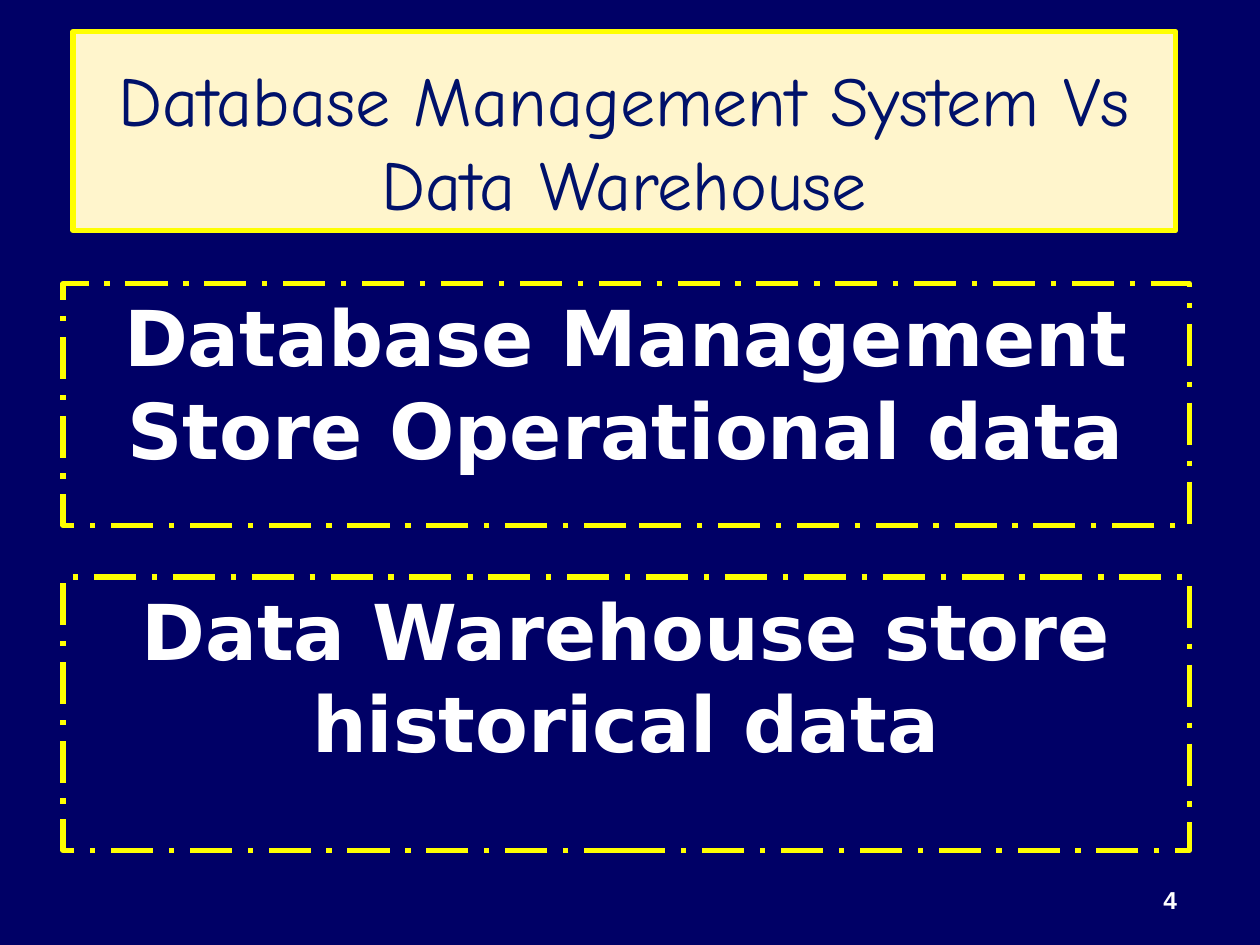
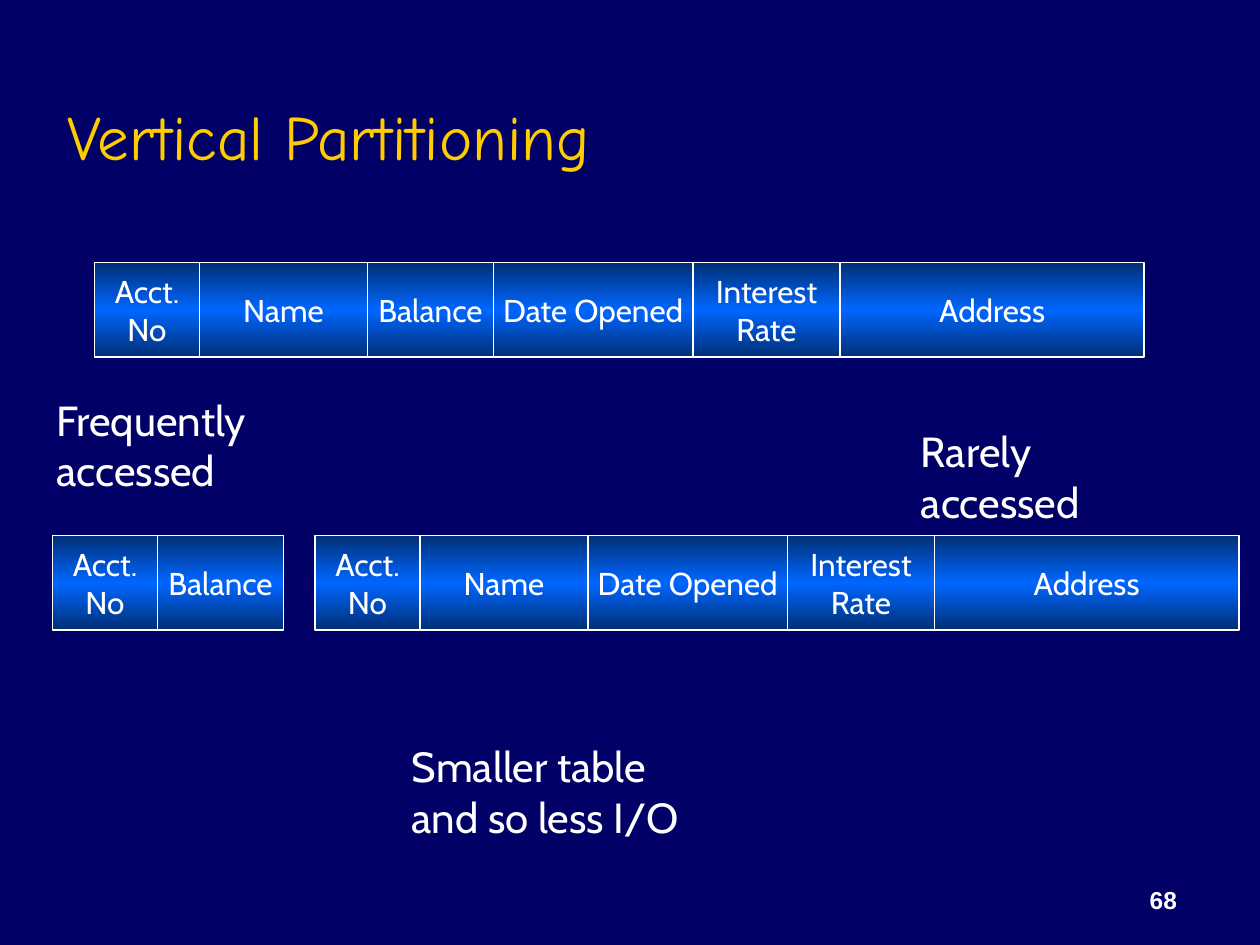
"""Build two slides on data warehouses: DBMS comparison and vertical partitioning."""
from copy import deepcopy
from pptx import Presentation
from pptx.dml.color import RGBColor
from pptx.enum.dml import MSO_LINE as Dash
from pptx.enum.shapes import MSO_SHAPE as Kind
from pptx.enum.text import MSO_ANCHOR as Anchor, MSO_AUTO_SIZE as Fit, PP_ALIGN as Align
from pptx.oxml.ns import qn
from pptx.util import Inches, Pt

NAVY = RGBColor(0x00, 0x00, 0x66)
INK = RGBColor(0x00, 0x11, 0x6A)
CREAM = RGBColor(0xFF, 0xF5, 0xCC)
YELLOW = RGBColor(0xFF, 0xFF, 0x00)
GOLD = RGBColor(0xFF, 0xCC, 0x00)
WHITE = RGBColor(0xFF, 0xFF, 0xFF)
DEEP = RGBColor(0x00, 0x2F, 0x76)
BLUE = RGBColor(0x00, 0x66, 0xFF)

HEAD, BODY, BOLD, FOOT = "Comic Neue", "Cabin", "DejaVu Sans", "Arial"

VERSUS = ("Database Management System Vs Data Warehouse", (0.58, 0.25, 8.75, 1.58))
CLAIMS = [
    ("Database Management Store Operational data", 2.25, 1.92),
    ("Data Warehouse store historical data", 4.58, 2.17),
]
SPLIT = ("Vertical Partitioning", (0.44, 0.25, 8.5, 1.17))
NOTES = [
    (["Frequently", "accessed"], (0.35, 3.08, 1.88, 0.9), False),
    (["Rarely", "accessed"], (7.21, 3.33, 1.61, 0.9), False),
    (["Smaller table", "and so less I/O"], (3.17, 5.83, 2.58, 0.9), True),
]
UNIT = 1 / 12
SPANS = {"Acct.\nNo": 10, "Name": 16, "Balance": 12, "Date Opened": 19,
         "Interest\nRate": 14, "Address": 29}
RECORDS = [
    (9, 25, list(SPANS)),
    (5, 51, ["Acct.\nNo", "Balance"]),
    (30, 51, [name for name in SPANS if name != "Balance"]),
]
TALL = 9


def write(shape, paras, face, size, color, align=Align.LEFT, anchor=Anchor.TOP,
          bold=False, wrap=True):
    frame = shape.text_frame
    frame.word_wrap = wrap
    frame.vertical_anchor = anchor
    for i, text in enumerate(paras):
        para = frame.add_paragraph() if i else frame.paragraphs[0]
        para.alignment = align
        for j, line in enumerate(text.split("\n")):
            if j:
                para.add_line_break()
            run = para.add_run()
            run.text = line
            font = run.font
            font.name, font.size, font.bold = face, Pt(size), bold
            font.color.rgb = color


def place(shapes, at):
    return shapes.add_textbox(*map(Inches, at))


def frame_box(shapes, at, edge, width, fill=None, dash=None):
    box = shapes.add_shape(Kind.RECTANGLE, *map(Inches, at))
    box.shadow.inherit = False
    box.line.color.rgb = edge
    box.line.width = Pt(width)
    if dash:
        box.line.dash_style = dash
    if fill is None:
        box.fill.background()
    else:
        box.fill.solid()
        box.fill.fore_color.rgb = fill
    return box


def shade(box):
    box.fill.gradient()
    box.fill.gradient_angle = 90
    stops = box.element.spPr.find(qn("a:gradFill")).find(qn("a:gsLst"))
    stops.append(deepcopy(stops[0]))
    for stop, pos, color in zip(box.fill.gradient_stops, (0, 0.5, 1), (DEEP, BLUE, DEEP)):
        stop.position = pos
        stop.color.rgb = color


def new_slide(deck, number):
    slide = deck.slides.add_slide(deck.slide_layouts[6])
    slide.background.fill.solid()
    slide.background.fill.fore_color.rgb = NAVY
    write(place(slide.shapes, (7.36, 6.81, 2.08, 0.5)), [number], FOOT, 14, WHITE,
          Align.RIGHT, Anchor.BOTTOM, bold=True)
    return slide.shapes


def add_versus(deck):
    shapes = new_slide(deck, "4")
    text, at = VERSUS
    write(frame_box(shapes, at, YELLOW, 3, CREAM), [text], HEAD, 40, INK,
          Align.CENTER, Anchor.BOTTOM)
    for text, top, high in CLAIMS:
        box = frame_box(shapes, (0.5, top, 8.94, high), YELLOW, 3, dash=Dash.LONG_DASH_DOT)
        write(box, [text], BOLD, 44, WHITE, Align.CENTER, bold=True)


def add_record(shapes, col, row, names):
    group = shapes.add_group_shape()
    for name in names:
        at = [UNIT * n for n in (col, row, SPANS[name], TALL)]
        cell = frame_box(group.shapes, at, WHITE, 1)
        shade(cell)
        write(cell, [name], BODY, 18, WHITE, Align.CENTER, Anchor.MIDDLE, wrap=False)
        col += SPANS[name]


def add_split(deck):
    shapes = new_slide(deck, "68")
    text, at = SPLIT
    write(place(shapes, at), [text], HEAD, 36, GOLD, anchor=Anchor.BOTTOM)
    for lines, at, wrap in NOTES:
        note = place(shapes, at)
        write(note, lines, BODY, 24, WHITE, wrap=wrap)
        note.text_frame.auto_size = Fit.SHAPE_TO_FIT_TEXT
    for record in RECORDS:
        add_record(shapes, *record)


def main():
    deck = Presentation()
    deck.slide_width, deck.slide_height = Inches(10), Inches(7.5)
    add_versus(deck)
    add_split(deck)
    deck.save("out.pptx")


if __name__ == "__main__":
    main()
